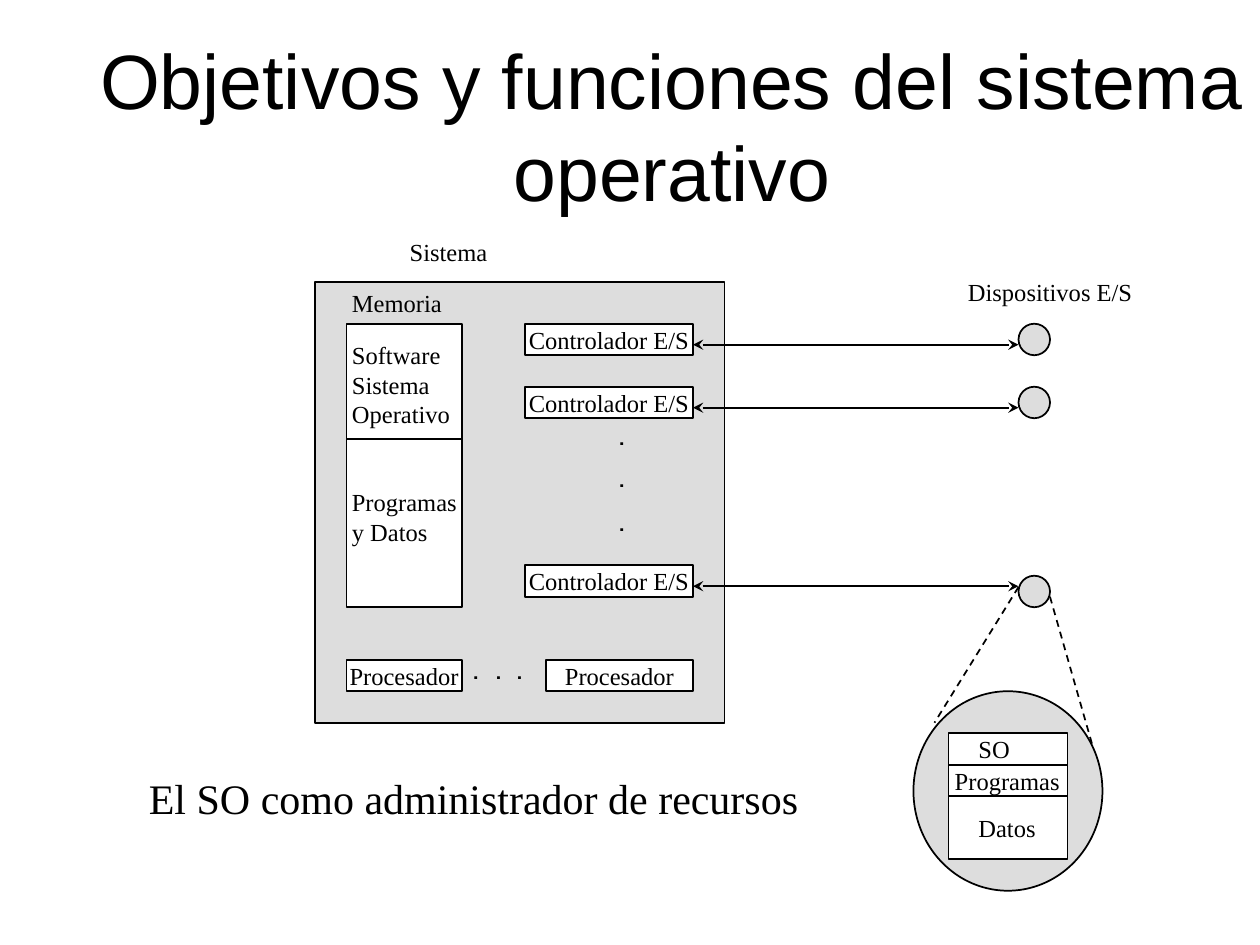
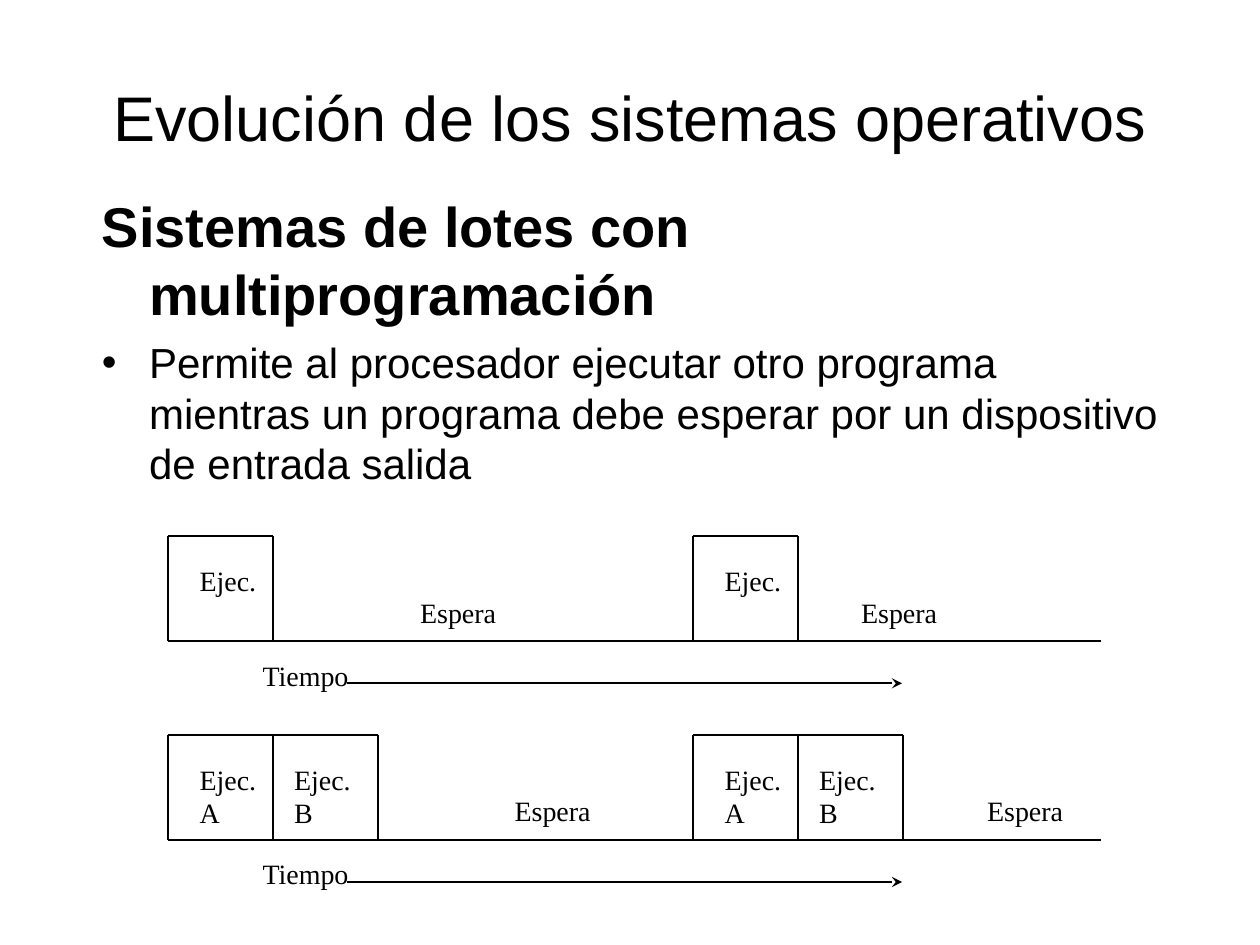
from dataclasses import dataclass

from lxml.etree import SubElement
from pptx import Presentation
from pptx.dml.color import RGBColor
from pptx.enum.dml import MSO_LINE
from pptx.enum.shapes import MSO_CONNECTOR, MSO_SHAPE
from pptx.enum.text import MSO_ANCHOR, MSO_AUTO_SIZE, PP_ALIGN
from pptx.oxml.ns import qn
from pptx.util import Pt


@dataclass(frozen=True)
class Theme:
    ink: RGBColor = RGBColor(0, 0, 0)
    paper: RGBColor = RGBColor(255, 255, 255)
    grey: RGBColor = RGBColor(0xDD, 0xDD, 0xDD)
    heading_font: str = "Arial"
    label_font: str = "Times New Roman"
    dot_font: str = "Cabin"
    large_title: int = 44
    title: int = 36
    subtitle: int = 32
    body: int = 24
    time_label: int = 16
    label: int = 14
    dot: int = 18
    line: int = 1


THEME = Theme()

# Content of the resource diagram; boxes are (left, top, width, height)
RESOURCE_TITLE = "Objetivos y funciones del sistema operativo"
CAPTION = ("El SO como administrador de recursos", (78, 438, 385, 36))
SYSTEM_BOX = (180, 161, 234, 252)
MEMORY_BOX = (198, 185, 66, 162)
ZOOM_CIRCLE = (522, 395, 108, 114)
ZOOM_MEMORY = (542, 419, 68, 72)
CONTROLLER = "Controlador E/S"
CHANNELS = [(185, 185), (221, 221), (323, 329)]  # tops of controller and device
PROCESSOR = "Procesador"
PROCESSORS = [(198, 377, 66, 18), (312, 377, 84, 18)]
DOTS = [(263, 366.5), (276, 366.5), (288, 366.5),
        (346.5, 233), (346.5, 257), (346.5, 282)]
DIVIDERS = [(198, 251, 264, 251), (542, 437, 610, 437), (542, 455, 610, 455)]
ZOOM_RAYS = [(600, 341, 624, 425), (582, 335.5, 534, 413)]
LABELS = [
    (["Sistema"], (227, 132, 59, 24)),
    (["Memoria"], (194, 161, 66, 24)),
    (["Software", "Sistema", "Operativo"], (194, 191, 71, 58)),
    (["Programas", "y Datos"], (194, 275, 75, 41)),
    (["SO"], (552, 416, 32, 24)),
    (["Programas"], (538.5, 434, 75, 24)),
    (["Datos"], (552, 461, 48, 24)),
    (["Dispositivos E/S"], (546, 155, 120, 24)),
]

# Content of the timelines
EVOLUTION_TITLE = "Evolución de los sistemas operativos"
SUBTITLE = "Sistemas de lotes con multiprogramación"
BULLET = ("Permite al procesador ejecutar otro programa mientras un programa "
          "debe esperar por un dispositivo de entrada salida")
RUN, WAIT, TIME = "Ejec.", "Espera", "Tiempo"
TIMELINES = [
    {"top": 306.5, "jobs": [""], "waits": [233, 485]},
    {"top": 420, "jobs": ["A", "B"], "waits": [287, 557]},
]
BURST_STARTS = [96, 396]
JOB_WIDTH = JOB_HEIGHT = 60


def points(values):
    return [Pt(value) for value in values]


def write(shape, lines, *, size=THEME.label, font=THEME.label_font, bold=False,
          align=PP_ALIGN.LEFT, anchor=MSO_ANCHOR.TOP, wrap=False):
    frame = shape.text_frame
    frame.auto_size = MSO_AUTO_SIZE.NONE
    frame.word_wrap = wrap
    frame.vertical_anchor = anchor
    for index, line in enumerate(lines):
        para = frame.add_paragraph() if index else frame.paragraphs[0]
        para.alignment = align
        span = para.add_run()
        span.text = line
        span.font.size = Pt(size)
        span.font.name = font
        span.font.bold = bold
        span.font.color.rgb = THEME.ink
    return frame


def place(shape, box):
    shape.left, shape.top, shape.width, shape.height = points(box)


def add_label(page, lines, box, **style):
    write(page.shapes.add_textbox(*points(box)), lines, **style)


def add_box(page, box, fill=THEME.paper, kind=MSO_SHAPE.RECTANGLE, text=None):
    shape = page.shapes.add_shape(kind, *points(box))
    shape.shadow.inherit = False
    shape.fill.solid()
    shape.fill.fore_color.rgb = fill
    shape.line.color.rgb = THEME.ink
    shape.line.width = Pt(THEME.line)
    if text:
        write(shape, [text], align=PP_ALIGN.CENTER, anchor=MSO_ANCHOR.MIDDLE)


def add_line(page, ends, dashed=False, arrows=()):
    """Draw a line; arrows may hold headEnd and tailEnd, in that order."""
    line = page.shapes.add_connector(MSO_CONNECTOR.STRAIGHT, *points(ends))
    line.line.color.rgb = THEME.ink
    line.line.width = Pt(THEME.line)
    if dashed:
        line.line.dash_style = MSO_LINE.DASH
    for arrow in arrows:
        SubElement(line.line._get_or_add_ln(), qn(f"a:{arrow}"), type="stealth")
    SubElement(line._element.spPr, qn("a:effectLst"))


def add_page(deck, layout, title, box, size, anchor):
    page = deck.slides.add_slide(deck.slide_layouts.get_by_name(layout))
    place(page.shapes.title, box)
    write(page.shapes.title, [title], size=size, font=THEME.heading_font,
          align=PP_ALIGN.CENTER, anchor=anchor, wrap=True)
    return page


def build_resources(deck):
    page = add_page(deck, "Title Only", RESOURCE_TITLE, (48, 37.5, 672, 90),
                    THEME.large_title, MSO_ANCHOR.BOTTOM)
    add_box(page, ZOOM_CIRCLE, THEME.grey, MSO_SHAPE.OVAL)
    add_box(page, SYSTEM_BOX, THEME.grey)
    add_box(page, MEMORY_BOX)
    add_box(page, ZOOM_MEMORY)
    for box in PROCESSORS:
        add_box(page, box, text=PROCESSOR)
    for controller_top, device_top in CHANNELS:
        add_box(page, (300, controller_top, 96, 18), text=CONTROLLER)
        add_box(page, (582, device_top, 18, 18), THEME.grey, MSO_SHAPE.OVAL)
        middle = controller_top + 12
        add_line(page, (396, middle, 582, middle), arrows=("headEnd", "tailEnd"))
    for ends in DIVIDERS:
        add_line(page, ends)
    for ends in ZOOM_RAYS:
        add_line(page, ends, dashed=True)
    for left, top in DOTS:
        add_label(page, ["."], (left, top, 25, 29), size=THEME.dot,
                  font=THEME.dot_font, wrap=True)
    for lines, box in LABELS:
        add_label(page, lines, box)
    caption, box = CAPTION
    add_label(page, [caption], box, size=THEME.body)


def fill_body(body):
    place(body, (51, 106, 618, 412))
    frame = write(body, [SUBTITLE, BULLET], size=THEME.body,
                  font=THEME.heading_font, wrap=True)
    subtitle, bullet = frame.paragraphs
    subtitle.runs[0].font.size = Pt(THEME.subtitle)
    subtitle.runs[0].font.bold = True
    for para, space in ((subtitle, 8), (bullet, 6)):
        para.space_before = Pt(space)
        properties = para._p.get_or_add_pPr()
        properties.set("marL", str(Pt(27)))
        properties.set("indent", str(Pt(-27)))
    SubElement(subtitle._p.pPr, qn("a:buNone"))
    SubElement(bullet._p.pPr, qn("a:buChar"), char="•")


def add_timeline(page, top, jobs, waits):
    base = top + JOB_HEIGHT
    add_line(page, (96, base, 629, base))
    for start in BURST_STARTS:
        end = start + len(jobs) * JOB_WIDTH
        add_line(page, (start, top, end, top))
        for edge in range(start, end + 1, JOB_WIDTH):
            add_line(page, (edge, top, edge, base))
        for index, job in enumerate(jobs):
            left = start + index * JOB_WIDTH + (5 if index else 11)
            lines = [RUN, job] if job else [RUN]
            add_label(page, lines, (left, top + 12, 47, 7 + 19 * len(lines)),
                      size=THEME.time_label)
    for left in waits:
        add_label(page, [WAIT], (left, top + 30, 58, 26), size=THEME.time_label)
    add_label(page, [TIME], (143, top + 66, 64, 26), size=THEME.time_label)
    add_line(page, (198.5, top + 84, 515.5, top + 84), arrows=("tailEnd",))


def build_evolution(deck):
    page = add_page(deck, "Title and Content", EVOLUTION_TITLE,
                    (36, 21.5, 648, 90), THEME.title, MSO_ANCHOR.MIDDLE)
    fill_body(page.placeholders[1])
    for timeline in TIMELINES:
        add_timeline(page, **timeline)


def main():
    deck = Presentation()
    deck.slide_width, deck.slide_height = Pt(720), Pt(540)
    build_resources(deck)
    build_evolution(deck)
    deck.save("out.pptx")


if __name__ == "__main__":
    main()
